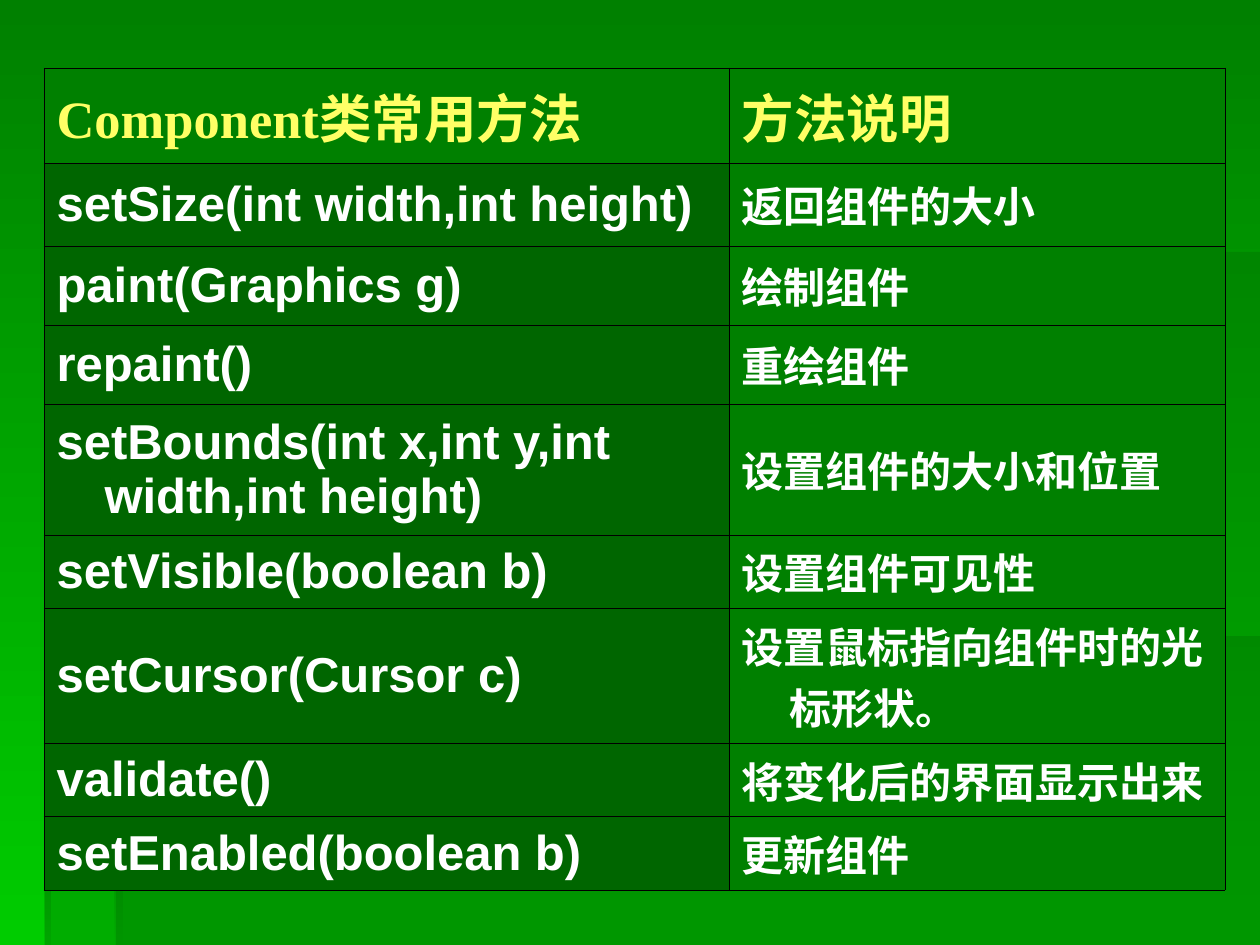
import dataclasses
import typing

import lxml.etree
import pptx
import pptx.dml.color
import pptx.dml.fill
import pptx.enum.text
import pptx.oxml.ns
import pptx.slide
import pptx.table
import pptx.util

PX = 914400 / 126
SLIDE_WIDTH, SLIDE_HEIGHT = 1260, 945
GREEN, DARK_GREEN = "008000", "006600"
EDGE_GREEN, SHADE_GREEN = "1E781E", "005300"
WHITE, YELLOW, BLACK = "FFFFFF", "FFFF66", "000000"
BORDER_POINTS = 0.45
HANGING_INDENT = 48
DOWN, LEFTWARD = 270, 180

Point = tuple[int, int]


class Method(typing.NamedTuple):
    signature: str
    description: str
    height: int


class CellStyle(typing.NamedTuple):
    font: str
    size: int
    color: str
    fill: str


@dataclasses.dataclass(frozen=True)
class Panel:
    """A backdrop area; one colour is a solid fill, two are a gradient."""
    points: list[Point]
    colors: tuple[str, ...]
    opacities: tuple[int, ...]
    angle: int = DOWN


def bar(left: int, top: int, right: int, bottom: int) -> list[Point]:
    return [(left, top), (left, bottom), (right, bottom), (right, top)]


PANELS = [
    Panel(bar(116, 636, 1260, 945), (DARK_GREEN,), (30,)),
    Panel([(118, 638), (45, 638), (45, 945), (1260, 945), (1260, 252), (118, 252)],
          (DARK_GREEN,), (30,)),
    Panel(bar(116, 252, 1123, 258), (SHADE_GREEN, DARK_GREEN), (100, 0), LEFTWARD),
    Panel([(116, 252), (116, 643), (122, 643), (121, 257)],
          (EDGE_GREEN, DARK_GREEN), (100, 100)),
    Panel([(115, 945), (122, 945), (121, 640), (115, 635)],
          (EDGE_GREEN, DARK_GREEN), (100, 0)),
    Panel(bar(44, 635, 674, 641), (SHADE_GREEN, DARK_GREEN), (100, 0), LEFTWARD),
    Panel([(44, 635), (44, 945), (50, 945), (50, 641)],
          (EDGE_GREEN, DARK_GREEN), (100, 10)),
]

HEADER_STYLE = CellStyle("Times New Roman", 30, YELLOW, GREEN)
SIGNATURE_STYLE = CellStyle("Arial", 28, WHITE, DARK_GREEN)
DESCRIPTION_STYLE = CellStyle("Times New Roman", 24, WHITE, GREEN)

COLUMN_WIDTHS = (685, 496)
METHODS = [
    Method("Component类常用方法", "方法说明", 95),
    Method("setSize(int width,int height)", "返回组件的大小", 83),
    Method("paint(Graphics g)", "绘制组件", 79),
    Method("repaint()", "重绘组件", 79),
    Method("setBounds(int x,int y,int width,int height)", "设置组件的大小和位置", 131),
    Method("setVisible(boolean b)", "设置组件可见性", 72),
    Method("setCursor(Cursor c)", "设置鼠标指向组件时的光标形状。", 113),
    Method("validate()", "将变化后的界面显示出来", 73),
    Method("setEnabled(boolean b)", "更新组件", 72),
]


def px(length: int) -> pptx.util.Emu:
    return pptx.util.Emu(round(length * PX))


def rgb(color: str) -> pptx.dml.color.RGBColor:
    return pptx.dml.color.RGBColor.from_string(color)


def fill_gradient(fill: pptx.dml.fill.FillFormat, colors: tuple[str, ...], angle: int) -> None:
    fill.gradient()
    fill.gradient_angle = angle
    for stop, color in zip(fill.gradient_stops, colors):
        stop.color.rgb = rgb(color)


def draw_panel(slide: pptx.slide.Slide, panel: Panel) -> None:
    corners = [(px(x), px(y)) for x, y in panel.points]
    builder = slide.shapes.build_freeform(*corners[0], scale=1.0)
    builder.add_line_segments(corners[1:], close=True)
    shape = builder.convert_to_shape()
    shape.shadow.inherit = False
    shape.line.fill.background()
    if len(panel.colors) == 1:
        shape.fill.solid()
        shape.fill.fore_color.rgb = rgb(panel.colors[0])
    else:
        fill_gradient(shape.fill, panel.colors, panel.angle)
    color_tag = pptx.oxml.ns.qn("a:srgbClr")
    for color, opacity in zip(shape._element.spPr.iter(color_tag), panel.opacities):
        alpha = lxml.etree.SubElement(color, pptx.oxml.ns.qn("a:alpha"))
        alpha.set("val", str(opacity * 1000))


def add_borders(cell: pptx.table._Cell) -> None:
    properties = cell._tc.get_or_add_tcPr()
    for side in ("L", "R", "T", "B"):
        line = lxml.etree.SubElement(properties, pptx.oxml.ns.qn(f"a:ln{side}"))
        line.set("w", str(pptx.util.Pt(BORDER_POINTS)))
        solid = lxml.etree.SubElement(line, pptx.oxml.ns.qn("a:solidFill"))
        lxml.etree.SubElement(solid, pptx.oxml.ns.qn("a:srgbClr")).set("val", BLACK)


def write_cell(cell: pptx.table._Cell, text: str, style: CellStyle) -> None:
    add_borders(cell)
    cell.fill.solid()
    cell.fill.fore_color.rgb = rgb(style.fill)
    cell.vertical_anchor = pptx.enum.text.MSO_ANCHOR.MIDDLE
    para = cell.text_frame.paragraphs[0]
    para.text = text
    indent = px(HANGING_INDENT)
    para_properties = para._p.get_or_add_pPr()
    para_properties.set("marL", str(indent))
    para_properties.set("indent", str(-indent))
    font = para.runs[0].font
    font.name = style.font
    font.size = pptx.util.Pt(style.size)
    font.bold = True
    font.color.rgb = rgb(style.color)


def draw_method_table(slide: pptx.slide.Slide, left: int, top: int) -> None:
    height = sum(method.height for method in METHODS)
    frame = slide.shapes.add_table(len(METHODS), len(COLUMN_WIDTHS), px(left), px(top),
                                   px(sum(COLUMN_WIDTHS)), px(height))
    table = frame.table
    table.horz_banding = False
    for column, width in zip(table.columns, COLUMN_WIDTHS):
        column.width = px(width)
    for index, method in enumerate(METHODS):
        table.rows[index].height = px(method.height)
        is_header = index == 0
        write_cell(table.cell(index, 0), method.signature,
                   HEADER_STYLE if is_header else SIGNATURE_STYLE)
        write_cell(table.cell(index, 1), method.description,
                   HEADER_STYLE if is_header else DESCRIPTION_STYLE)


def main() -> None:
    deck = pptx.Presentation()
    deck.slide_width, deck.slide_height = px(SLIDE_WIDTH), px(SLIDE_HEIGHT)
    slide = deck.slides.add_slide(deck.slide_layouts[6])
    fill_gradient(slide.background.fill, (GREEN, "00CC00"), DOWN)
    for panel in PANELS:
        draw_panel(slide, panel)
    draw_method_table(slide, left=44, top=68)
    deck.save("out.pptx")


if __name__ == "__main__":
    main()
